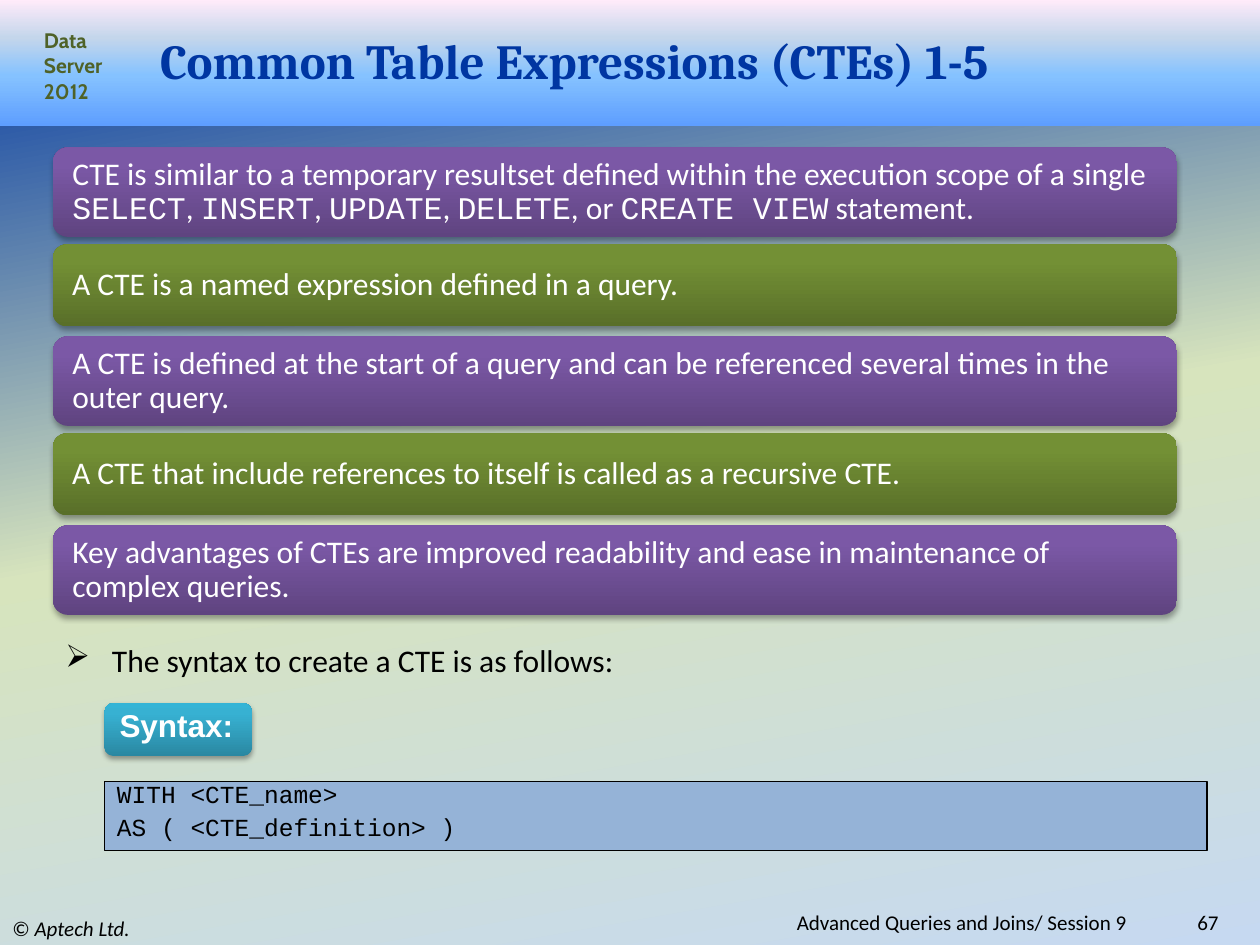
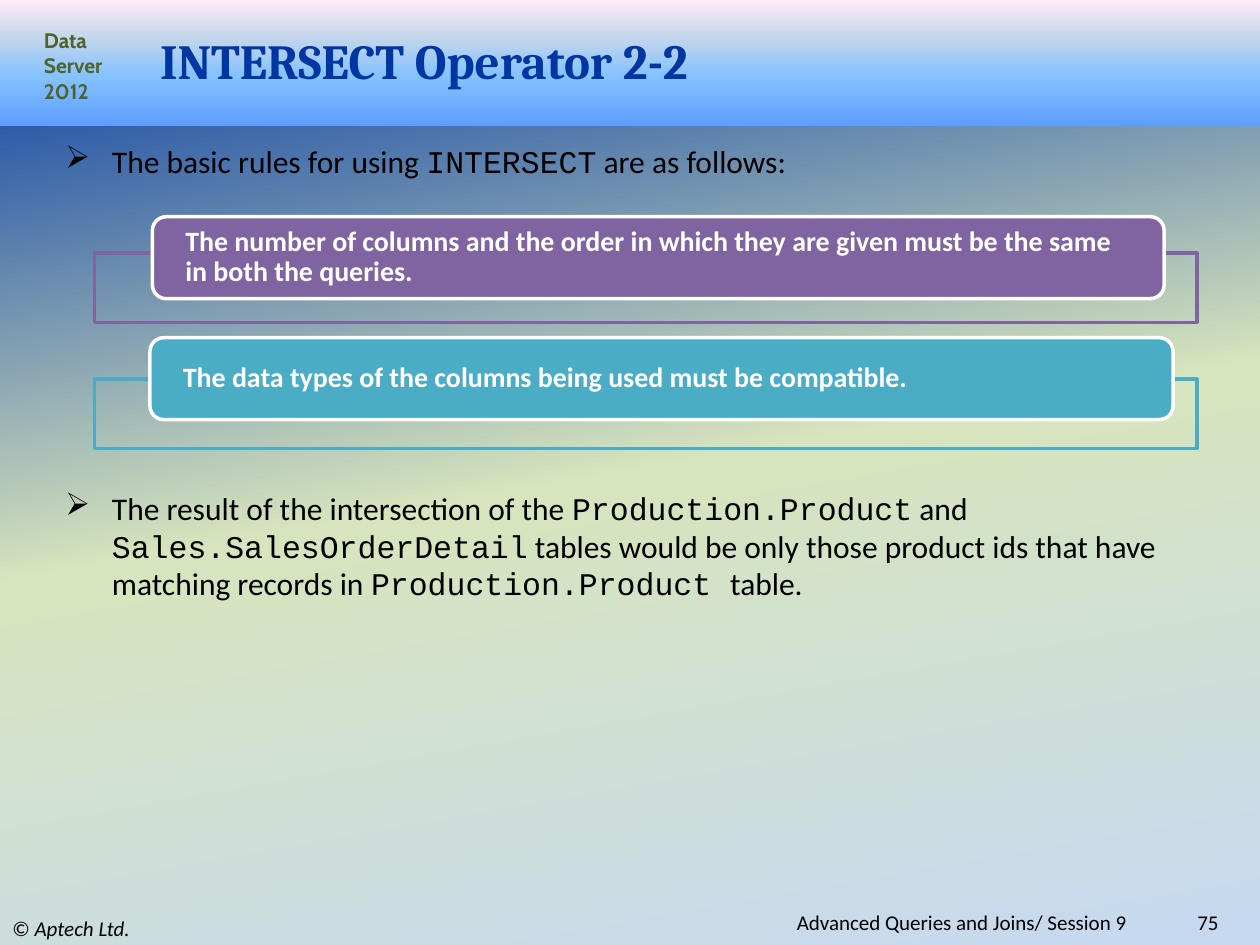
from lxml import etree
from pptx import Presentation
from pptx import util as u
from pptx.dml.color import RGBColor
from pptx.enum import shapes, text
from pptx.oxml.ns import qn

# Colours
BLACK = RGBColor(0, 0, 0)
WHITE = RGBColor(0xFF, 0xFF, 0xFF)
NAVY = RGBColor(0x00, 0x36, 0xA2)
MOSS = RGBColor(0x4F, 0x62, 0x28)
VIOLET = RGBColor(0x80, 0x64, 0xA2)
AQUA = RGBColor(0x4B, 0xAC, 0xC6)
STEEL = RGBColor(0x95, 0xB3, 0xD7)

# Gradients: position in percent and colour
PAGE = [(0, NAVY), (50, RGBColor(0xD7, 0xE4, 0xBD)), (100, RGBColor(0xC6, 0xD9, 0xF1))]
SKY = [(0, RGBColor(0x5E, 0x9E, 0xFF)), (40, RGBColor(0x85, 0xC2, 0xFF)),
       (70, RGBColor(0xC4, 0xD6, 0xEB)), (100, RGBColor(0xFF, 0xEB, 0xFA))]
PLUM = [(0, RGBColor(0x5F, 0x44, 0x80)), (80, RGBColor(0x7B, 0x58, 0xA6)),
        (100, RGBColor(0x7C, 0x57, 0xA8))]
LEAF = [(0, RGBColor(0x59, 0x6F, 0x29)), (80, RGBColor(0x73, 0x90, 0x35)),
        (100, RGBColor(0x74, 0x93, 0x34))]
TEAL = [(0, RGBColor(0x2A, 0x88, 0xA2)), (80, RGBColor(0x37, 0xB1, 0xD2)),
        (100, RGBColor(0x34, 0xB4, 0xD6))]

BODY, CODE, HEAD, LOGO = "Calibri", "Courier New", "Cambria", "Cabin"
RECT = shapes.MSO_SHAPE.RECTANGLE
ROUND = shapes.MSO_SHAPE.ROUNDED_RECTANGLE
LEFT, RIGHT = text.PP_ALIGN.LEFT, text.PP_ALIGN.RIGHT
TOP, MID = text.MSO_ANCHOR.TOP, text.MSO_ANCHOR.MIDDLE


def place(at):
    return [u.Inches(n) for n in at]


def blend(fill, stops, angle):
    """Fill with a gradient of any number of stops."""
    fill.gradient()
    fill.gradient_angle = 360 - angle
    items = fill.gradient_stops
    root = items[0].color._xFill.getparent()
    for old in list(root):
        root.remove(old)
    for pos, color in stops:
        stop = etree.SubElement(root, qn("a:gs"), pos=str(pos * 1000))
        etree.SubElement(stop, qn("a:srgbClr"), val=str(color))


class Deck:
    def __init__(self):
        self.prs = Presentation()
        self.prs.slide_width, self.prs.slide_height = place((10, 7.5))
        self.slide = None

    def page(self, title, number):
        """Start a slide with its background, band, title and footers."""
        self.slide = self.prs.slides.add_slide(self.prs.slide_layouts[5])
        blend(self.slide.background.fill, PAGE, 80)
        self.shape(RECT, (0, 0, 10, 1), SKY)
        self.label((0.25, 0.17, 0.75, 0.71), "Data Server 2012",
                   anchor=TOP, size=12, face=LOGO, color=MOSS, bold=True)
        # Title, moved in front of the band
        head = self.slide.shapes.title
        self.slide.shapes.element.append(head.element)
        head.left, head.top, head.width, head.height = place((1.17, 0.25, 8.33, 0.45))
        self.put(head, title, size=28, face=HEAD, color=NAVY, bold=True)
        # Footers
        mark = self.label((0, 7.23, 3.33, 0.27), "© ", size=12)
        run = mark.text_frame.paragraphs[0].add_run()
        run.text, run.font.italic = "Aptech Ltd.", True
        self.label((2.5, 7.23, 6.58, 0.18), "Advanced Queries and Joins/ Session 9 ",
                   size=12, align=RIGHT)
        self.label((8.92, 7.23, 0.85, 0.18), str(number), size=12, align=RIGHT)

    def put(self, shape, *lines, size=18, face=BODY, color=BLACK, bold=False,
            align=LEFT, anchor=MID, pad=None, lead=None, gap=0, bullet=None):
        """Put lines in a shape; parts between backticks are in the code font."""
        frame = shape.text_frame
        frame.word_wrap, frame.auto_size = True, text.MSO_AUTO_SIZE.NONE
        frame.vertical_anchor = anchor
        if pad:
            (frame.margin_left, frame.margin_top,
             frame.margin_right, frame.margin_bottom) = place(pad)
        for i, line in enumerate(lines):
            para = frame.add_paragraph() if i else frame.paragraphs[0]
            para.alignment = align
            if lead:
                para.line_spacing = lead
            if i:
                para.space_before = u.Pt(gap)
            if bullet:
                prop = para._p.get_or_add_pPr()
                prop.set("marL", str(u.Inches(0.37)))
                prop.set("indent", str(-u.Inches(0.37)))
                etree.SubElement(prop, qn("a:buChar"), char=bullet)
            font = para.font
            font.size, font.bold, font.color.rgb = u.Pt(size), bold, color
            parts = line.split("`")
            if len(parts) == 1:
                font.name = face
            for j, part in enumerate(parts):
                run = para.add_run()
                run.text = part
                if len(parts) > 1:
                    run.font.name = CODE if j % 2 else face

    def label(self, at, *lines, **style):
        box = self.slide.shapes.add_textbox(*place(at))
        self.put(box, *lines, **style)
        return box

    def point(self, at, line):
        self.label(at, line, anchor=TOP, bullet="➢")

    def shape(self, kind, at, fill=None, line=None, width=2, shade=False):
        item = self.slide.shapes.add_shape(kind, *place(at))
        item.shadow.inherit = False
        if fill is None:
            item.fill.background()
        elif isinstance(fill, list):
            blend(item.fill, fill, 270)
        else:
            item.fill.solid()
            item.fill.fore_color.rgb = fill
        if line is None:
            item.line.fill.background()
        else:
            item.line.color.rgb, item.line.width = line, u.Pt(width)
        if shade:
            glow = item.element.spPr.find(qn("a:effectLst"))
            drop = etree.SubElement(glow, qn("a:outerShdw"), blurRad=str(u.Pt(3.1)),
                                    dist=str(u.Pt(1.8)), dir="5400000", rotWithShape="0")
            tint = etree.SubElement(drop, qn("a:srgbClr"), val=str(BLACK))
            etree.SubElement(tint, qn("a:alpha"), val="35000")
        return item

    def card(self, at, line, fill):
        item = self.shape(ROUND, at, fill, shade=True)
        self.put(item, line, color=WHITE, lead=0.9, pad=(0.12, 0.05, 0.12, 0.05))

    def rule(self, top, at, line, color):
        """A filled card over an open frame."""
        self.shape(RECT, (0.75, top, 8.75, 0.55), line=color)
        item = self.shape(ROUND, at, color, WHITE)
        self.put(item, line, size=16, color=WHITE, bold=True, lead=0.9,
                 pad=(0.23, 0, 0.23, 0))


def main():
    deck = Deck()

    # Slide 1: what a CTE is
    deck.page("Common Table Expressions (CTEs) 1-5", 67)
    facts = [
        "CTE is similar to a temporary resultset defined within the execution scope of a "
        "single `SELECT`, `INSERT`, `UPDATE`, `DELETE`, or `CREATE VIEW` statement.",
        "A CTE is a named expression defined in a query.",
        "A CTE is defined at the start of a query and can be referenced several times "
        "in the outer query.",
        "A CTE that include references to itself is called as a recursive CTE.",
        "Key advantages of CTEs are improved readability and ease in maintenance of "
        "complex queries.",
    ]
    for i, fact in enumerate(facts):
        pair, odd = divmod(i, 2)
        top = 1.17 + 1.5 * pair + 0.77 * odd
        deck.card((0.42, top, 8.92, 0.65 if odd else 0.71), fact, LEAF if odd else PLUM)

    # Syntax tag and code
    deck.point((0.42, 5.04, 9.17, 0.4), "The syntax to create a CTE is as follows:")
    tag = deck.shape(ROUND, (0.83, 5.58, 1.17, 0.42), TEAL, shade=True)
    deck.put(tag, "Syntax:", face="Arial", color=WHITE, bold=True, lead=0.7)
    code = deck.shape(RECT, (0.83, 6.2, 8.75, 0.55), STEEL, BLACK, 0.75)
    deck.put(code, "WITH <CTE_name>", "AS ( <CTE_definition> )",
             size=14, face=CODE, anchor=TOP, lead=0.7, gap=7)

    # Slide 2: rules for INTERSECT
    deck.page("INTERSECT Operator 2-2", 75)
    deck.point((0.42, 1.08, 9.33, 0.4),
               "The basic rules for using `INTERSECT` are as follows:")
    deck.rule(2.01, (1.21, 1.72, 8.03, 0.65),
              "The number of columns and the order in which they are given must be "
              "the same in both the queries.", VIOLET)
    deck.rule(3.01, (1.19, 2.68, 8.12, 0.65),
              "The data types of the columns being used must be compatible.", AQUA)
    deck.point((0.42, 3.83, 9.33, 1.01),
               "The result of the intersection of the `Production.Product` and "
               "`Sales.SalesOrderDetail` tables would be only those product ids that "
               "have matching records in `Production.Product `table.")

    deck.prs.save("out.pptx")


if __name__ == "__main__":
    main()
